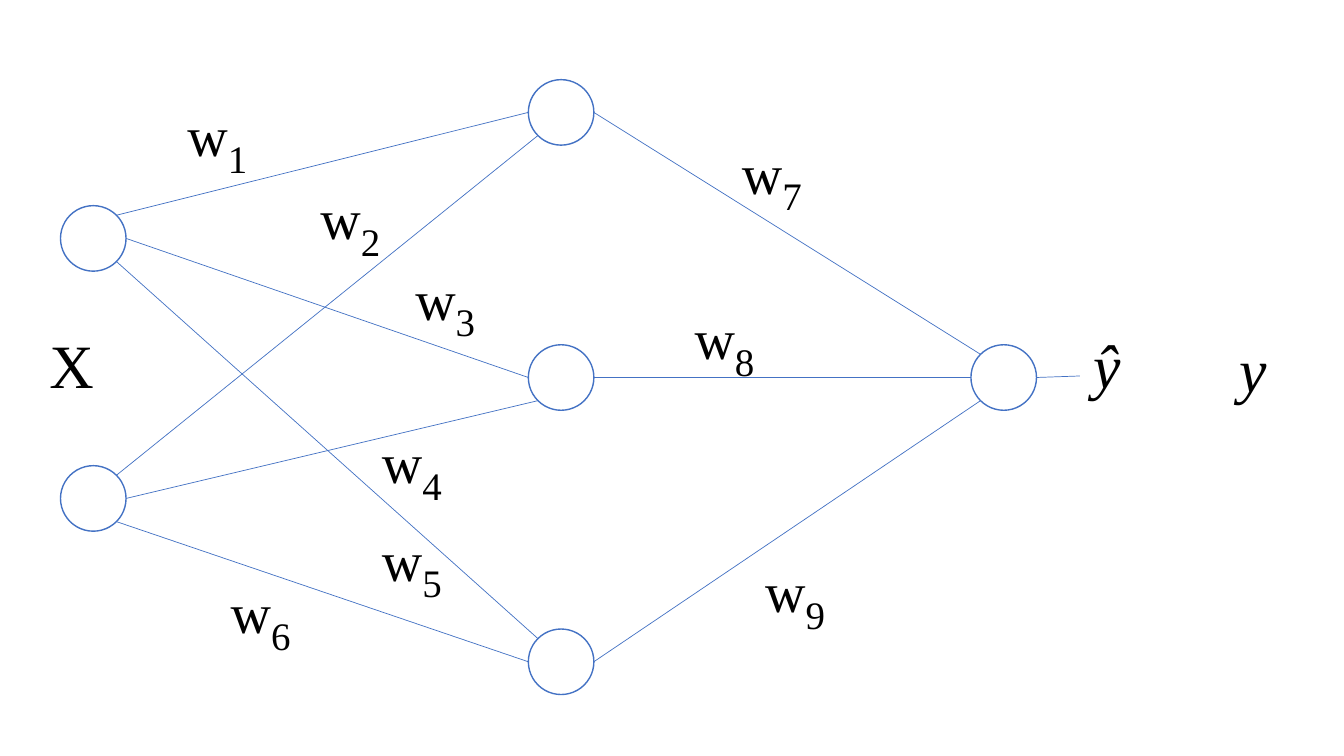
from math import cos, radians, sin

from lxml.etree import SubElement
from pptx import Presentation
from pptx.dml.color import RGBColor
from pptx.enum.shapes import MSO_CONNECTOR as Connector, MSO_SHAPE as Shape
from pptx.enum.text import MSO_AUTO_SIZE as AutoSize
from pptx.oxml.ns import qn
from pptx.util import Inches, Pt

BLUE = RGBColor(0x44, 0x72, 0xC4)
WHITE = RGBColor(0xFF, 0xFF, 0xFF)
BLACK = RGBColor(0x00, 0x00, 0x00)
FONT = "Times New Roman"
DIAMETER = 0.65

NODES = {
    "input 1": (0.6, 2.04),
    "input 2": (0.6, 4.62),
    "hidden 1": (5.24, 0.79),
    "hidden 2": (5.24, 3.42),
    "hidden 3": (5.24, 6.24),
    "output": (9.63, 3.42),
}
UP_RIGHT, RIGHT, DOWN_RIGHT, DOWN_LEFT, LEFT, UP_LEFT = -45, 0, 45, 135, 180, 225
EDGES = [
    ("input 1", UP_RIGHT, "hidden 1", LEFT),
    ("input 1", RIGHT, "hidden 2", LEFT),
    ("input 2", RIGHT, "hidden 2", DOWN_LEFT),
    ("input 2", DOWN_RIGHT, "hidden 3", LEFT),
    ("input 1", DOWN_RIGHT, "hidden 3", UP_LEFT),
    ("input 2", UP_RIGHT, "hidden 1", DOWN_LEFT),
    ("hidden 1", RIGHT, "output", UP_LEFT),
    ("hidden 2", RIGHT, "output", LEFT),
    ("hidden 3", RIGHT, "output", DOWN_LEFT),
]
WEIGHTS = [
    (1.76, 0.84), (3.08, 1.66), (4.02, 2.46),
    (3.69, 4.08), (3.69, 5.05), (2.19, 5.57),
    (7.26, 1.21), (6.79, 2.85), (7.49, 5.36),
]


def rim_point(node, angle):
    """Return the point on a node's rim at an angle, clockwise from the right."""
    left, top = NODES[node]
    radius = DIAMETER / 2
    return (left + radius * (1 + cos(radians(angle))),
            top + radius * (1 + sin(radians(angle))))


def add_node(slide, left, top):
    """Draw one neuron."""
    node = slide.shapes.add_shape(
        Shape.OVAL, Inches(left), Inches(top), Inches(DIAMETER), Inches(DIAMETER))
    node.shadow.inherit = False
    node.fill.solid()
    node.fill.fore_color.rgb = WHITE
    node.line.color.rgb = BLUE
    node.line.width = Pt(1)


def add_edge(slide, start, end):
    """Draw a thin line between two points."""
    edge = slide.shapes.add_connector(
        Connector.STRAIGHT, *(Inches(length) for length in start + end))
    edge.line.color.rgb = BLUE
    edge.line.width = Pt(0.5)
    SubElement(edge.element.spPr, qn("a:effectLst"))


def format_run(run, size, italic=False):
    """Give a run the label font."""
    run.font.name = FONT
    run.font.size = Pt(size)
    run.font.italic = italic
    run.font.color.rgb = BLACK


def add_label(slide, text, box, size=44, italic=False, wrap=True):
    """Add a text label and return its paragraph."""
    shape = slide.shapes.add_textbox(*(Inches(length) for length in box))
    text_frame = shape.text_frame
    text_frame.word_wrap = wrap
    text_frame.auto_size = AutoSize.SHAPE_TO_FIT_TEXT
    text_frame.text = text
    paragraph = text_frame.paragraphs[0]
    format_run(paragraph.runs[0], size, italic)
    return paragraph


def add_weight(slide, number, left, top):
    """Add a weight label with its subscript number."""
    paragraph = add_label(slide, "w", (left, top, 1.22, 0.91), size=40)
    subscript = paragraph.add_run()
    subscript.text = str(number)
    format_run(subscript, 48)
    subscript.font._element.set("baseline", "-25000")


def main():
    """Build the neural network slide."""
    presentation = Presentation()
    presentation.slide_width = Inches(13.33)
    presentation.slide_height = Inches(7.5)
    slide = presentation.slides.add_slide(presentation.slide_layouts[6])
    for left, top in NODES.values():
        add_node(slide, left, top)
    for source, source_angle, target, target_angle in EDGES:
        add_edge(slide, rim_point(source, source_angle), rim_point(target, target_angle))
    add_edge(slide, rim_point("output", RIGHT), (10.71, 3.73))
    add_label(slide, "X", (0.39, 3.19, 1.22, 0.84))
    for number, (left, top) in enumerate(WEIGHTS, start=1):
        add_weight(slide, number, left, top)
    add_label(slide, "ŷ", (10.75, 3.19, 0.65, 0.84), italic=True, wrap=False)
    add_label(slide, "y", (12.2, 3.23, 0.51, 0.84), italic=True, wrap=False)
    presentation.save("out.pptx")


if __name__ == "__main__":
    main()
